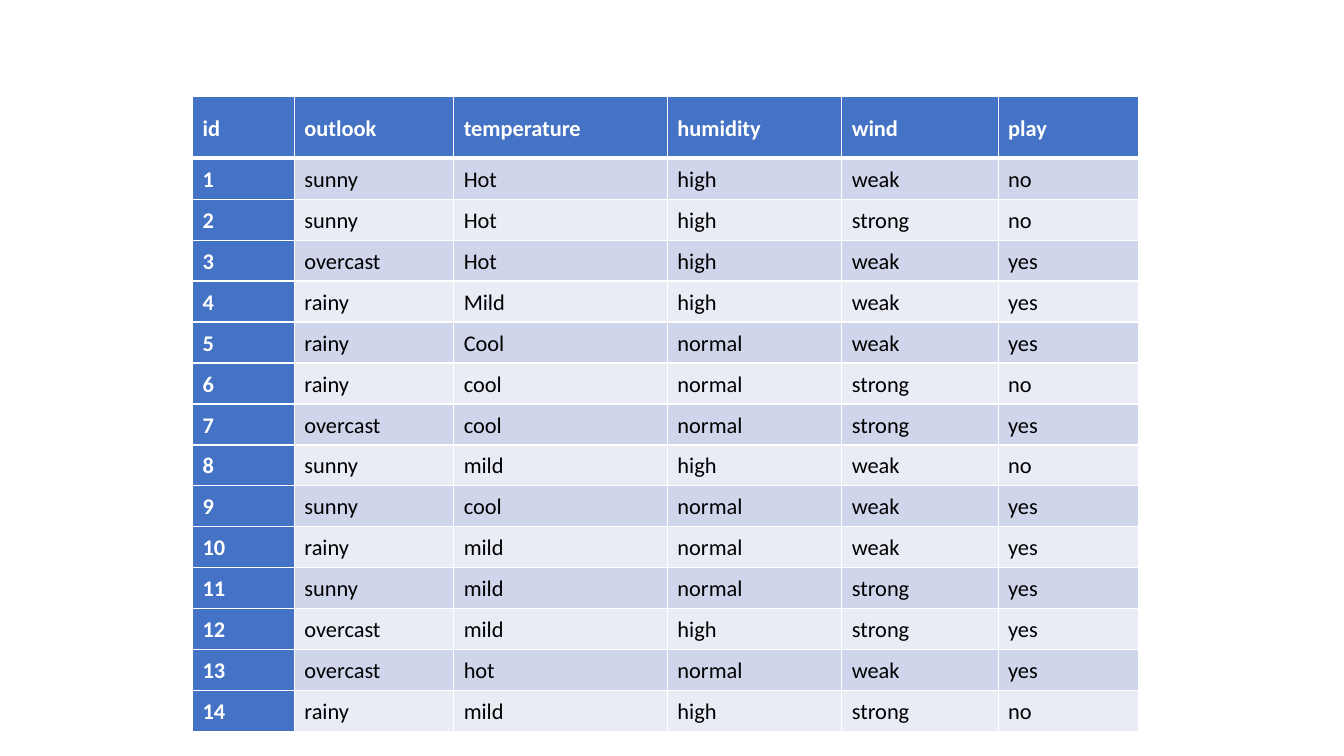
from dataclasses import dataclass

from lxml.etree import SubElement
from pptx import Presentation
from pptx.dml.color import RGBColor
from pptx.enum.text import MSO_ANCHOR, PP_ALIGN
from pptx.oxml.ns import qn
from pptx.util import Inches, Pt


@dataclass(frozen=True)
class Theme:
    font: str = "Calibri"
    text_size: int = 16
    accent: str = "4472C4"
    bands: tuple = ("CFD5EA", "E9EBF5")
    light: str = "FFFFFF"
    dark: str = "000000"
    thin_line: int = 1
    thick_line: int = 3


HEADER = ["id", "outlook", "temperature", "humidity", "wind", "play"]
DAYS = [
    ["sunny", "Hot", "high", "weak", "no"],
    ["sunny", "Hot", "high", "strong", "no"],
    ["overcast", "Hot", "high", "weak", "yes"],
    ["rainy", "Mild", "high", "weak", "yes"],
    ["rainy", "Cool", "normal", "weak", "yes"],
    ["rainy", "cool", "normal", "strong", "no"],
    ["overcast", "cool", "normal", "strong", "yes"],
    ["sunny", "mild", "high", "weak", "no"],
    ["sunny", "cool", "normal", "weak", "yes"],
    ["rainy", "mild", "normal", "weak", "yes"],
    ["sunny", "mild", "normal", "strong", "yes"],
    ["overcast", "mild", "high", "strong", "yes"],
    ["overcast", "hot", "normal", "weak", "yes"],
    ["rainy", "mild", "high", "strong", "no"],
]
COLUMN_WIDTHS = [1.01, 1.58, 2.12, 1.73, 1.55, 1.39]
TABLE_LEFT, TABLE_TOP, TABLE_HEIGHT = 1.91, 0.96, 6.3
HEADER_HEIGHT = 0.61


class SlideBuilder:
    def __init__(self, page, theme):
        self.page = page
        self.theme = theme

    def table(self, left, top, height, widths, header_height, rows):
        """Draw a table with an accented first row and first column."""
        frame = self.page.shapes.add_table(
            len(rows), len(widths), Inches(left), Inches(top),
            Inches(sum(widths)), Inches(height))
        table = frame.table
        for column, width in zip(table.columns, widths):
            column.width = Inches(width)
        body_height = (height - header_height) / (len(rows) - 1)
        for row_index, values in enumerate(rows):
            table.rows[row_index].height = Inches(
                body_height if row_index else header_height)
            for column_index, value in enumerate(values):
                self.cell(table.cell(row_index, column_index), value,
                          row_index, column_index)

    def cell(self, cell, value, row_index, column_index):
        theme = self.theme
        is_heading = row_index == 0 or column_index == 0
        self.borders(cell, row_index)
        cell.fill.solid()
        cell.fill.fore_color.rgb = RGBColor.from_string(
            theme.accent if is_heading else theme.bands[(row_index - 1) % 2])
        cell.vertical_anchor = MSO_ANCHOR.MIDDLE
        cell.margin_left = Inches(0.1)
        cell.margin_right = cell.margin_top = cell.margin_bottom = 0

        cell.text_frame.text = value
        para = cell.text_frame.paragraphs[0]
        para.alignment = PP_ALIGN.JUSTIFY
        para.line_spacing = 1.07
        para.space_before = Pt(6)
        font = para.runs[0].font
        font.name = theme.font
        font.size = Pt(theme.text_size)
        font.bold = is_heading
        font.color.rgb = RGBColor.from_string(
            theme.light if is_heading else theme.dark)

    def borders(self, cell, row_index):
        """Add white borders, with a thick one below the header row."""
        thick_sides = {0: "B", 1: "T"}
        properties = cell._tc.get_or_add_tcPr()
        for side in "LRTB":
            is_thick = thick_sides.get(row_index) == side
            width = self.theme.thick_line if is_thick else self.theme.thin_line
            line = SubElement(properties, qn(f"a:ln{side}"), w=str(Pt(width)))
            fill = SubElement(line, qn("a:solidFill"))
            SubElement(fill, qn("a:srgbClr"), val=self.theme.light)


def main():
    deck = Presentation()
    deck.slide_width = Inches(13.33)
    deck.slide_height = Inches(7.5)
    page = deck.slides.add_slide(deck.slide_layouts[6])
    rows = [HEADER] + [[str(number), *day]
                       for number, day in enumerate(DAYS, start=1)]
    SlideBuilder(page, Theme()).table(
        TABLE_LEFT, TABLE_TOP, TABLE_HEIGHT, COLUMN_WIDTHS,
        HEADER_HEIGHT, rows)
    deck.save("out.pptx")


if __name__ == "__main__":
    main()
